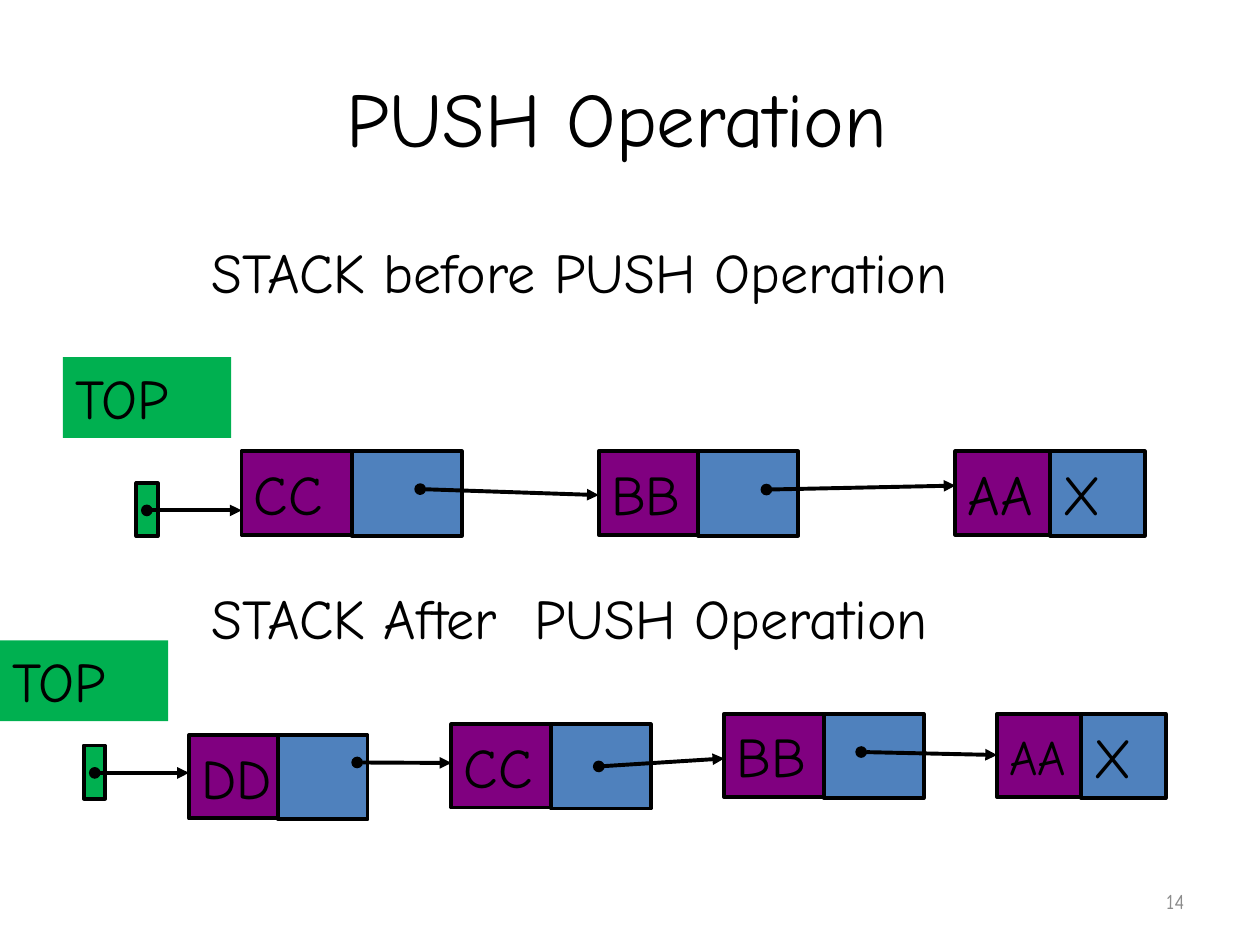
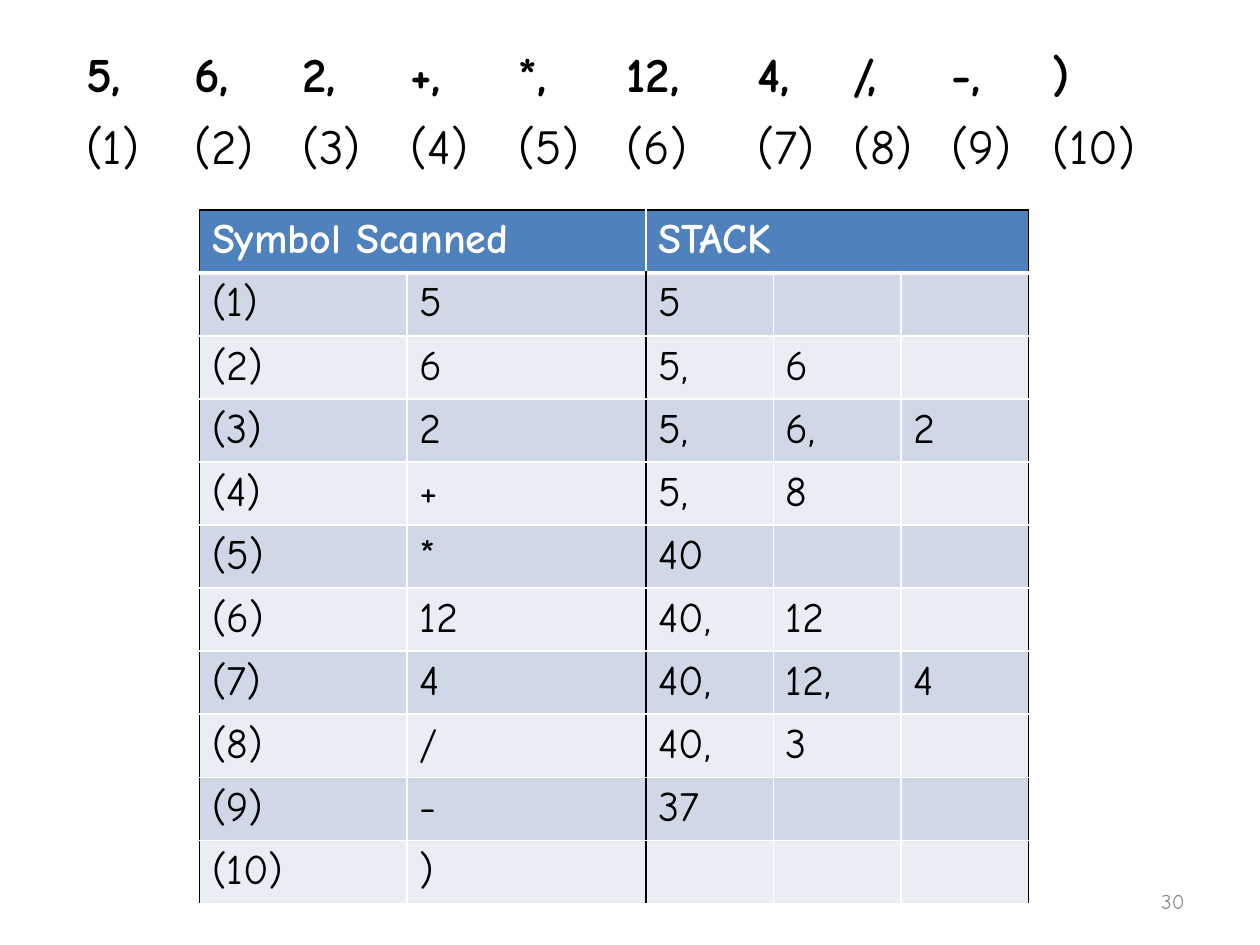
"""Build two slides on stacks: the PUSH operation and a postfix evaluation."""
from dataclasses import dataclass
from typing import Optional

from lxml import etree
from pptx import Presentation
from pptx.dml.color import RGBColor
from pptx.enum.shapes import MSO_CONNECTOR, MSO_SHAPE
from pptx.enum.text import MSO_ANCHOR, PP_ALIGN
from pptx.oxml.ns import qn
from pptx.util import Cm, Pt

RECTANGLE, STRAIGHT = MSO_SHAPE.RECTANGLE, MSO_CONNECTOR.STRAIGHT
TOP, MIDDLE = MSO_ANCHOR.TOP, MSO_ANCHOR.MIDDLE
LEFT, CENTER, RIGHT = PP_ALIGN.LEFT, PP_ALIGN.CENTER, PP_ALIGN.RIGHT

FONT = "Comic Neue"
COLORS = {
    "black": "000000", "white": "FFFFFF", "gray": "8C8C8C",
    "green": "00B050", "purple": "800080", "blue": "4F81BD",
    "band_dark": "D0D8E8", "band_light": "E9EDF4",
}
OUTLINE = 2.25
DATA_HEIGHT, LINK_HEIGHT = 1.68, 1.7
LABEL_WIDTH, LABEL_HEIGHT = 3.39, 1.63
POINTER_WIDTH, POINTER_HEIGHT = 0.43, 1.07
CAPTION_LEFT, CAPTION_WIDTH = 4.02, 18.2
ROW_HEIGHT = 1.04


@dataclass
class Node:
    """A list node: two equal halves and the arrow that arrives at its left."""
    text: str
    left: float
    top: float
    half_width: float
    arrow_left: float
    arrow_start: float
    arrow_end: float
    link_text: str = ""
    size: float = 32


@dataclass
class Stack:
    """A linked stack with its caption, TOP label and TOP pointer."""
    caption: str
    caption_top: float
    label_at: tuple[float, float]
    pointer_at: tuple[float, float]
    nodes: list[Node]


STACKS = [
    Stack("STACK before PUSH Operation ", 4.66, (1.27, 7.2), (2.75, 9.74), [
        Node("CC", 4.87, 9.1, 2.22, 2.96, 10.29, 10.29),
        Node("BB", 12.07, 9.1, 2.01, 8.47, 9.86, 9.98),
        Node("AA", 19.26, 9.1, 1.91, 15.45, 9.87, 9.79, link_text="X"),
    ]),
    Stack("STACK After  PUSH Operation ", 11.64, (0, 12.91), (1.69, 15.03), [
        Node("DD", 3.81, 14.82, 1.8, 1.91, 15.58, 15.58),
        Node("CC", 9.1, 14.6, 2.01, 7.2, 15.37, 15.38),
        Node("BB", 14.6, 14.39, 2.01, 12.07, 15.45, 15.29),
        Node("AA", 20.1, 14.39, 1.7, 17.36, 15.16, 15.22, link_text="X", size=28),
    ]),
]

SYMBOLS = ["5", "6", "2", "+", "*", "12", "4", "/", "-", ")"]
STACK_STATES = [
    ["5"], ["5", "6"], ["5", "6", "2"], ["5", "8"], ["40"],
    ["40", "12"], ["40", "12", "4"], ["40", "3"], ["37"], [],
]
SYMBOL_WIDTHS = [2.18] * 5 + [2.64, 1.93, 1.98, 2.03, 2.34]
TRACE_WIDTHS = [4.18, 4.82] + [2.57] * 3


def rgb(name: str) -> RGBColor:
    """Look up a named colour."""
    return RGBColor.from_string(COLORS[name])


def write(frame, text: str, *, size: float = 32, color: str = "black",
          bold: bool = False, align=LEFT) -> None:
    """Put one formatted line of text in a text frame."""
    para = frame.paragraphs[0]
    para.alignment = align
    span = para.add_run()
    span.text = text
    span.font.name = FONT
    span.font.size = Pt(size)
    span.font.bold = bold
    span.font.color.rgb = rgb(color)


def add_text(page, text: str, left: float, top: float, width: float,
             height: float, anchor=TOP, **style) -> None:
    """Add a wrapping text box."""
    box = page.shapes.add_textbox(Cm(left), Cm(top), Cm(width), Cm(height))
    box.text_frame.word_wrap = True
    box.text_frame.vertical_anchor = anchor
    write(box.text_frame, text, **style)


def add_page_number(page, number: int) -> None:
    """Add the page number in the lower right corner."""
    add_text(page, str(number), 18.2, 17.65, 5.93, 1.02, anchor=MIDDLE,
             size=12, color="gray", align=RIGHT)


def add_box(page, left: float, top: float, width: float, height: float,
            fill: str, text: str = "", size: float = 32, outlined: bool = True):
    """Add a filled rectangle with optional outline and text."""
    box = page.shapes.add_shape(RECTANGLE, Cm(left), Cm(top), Cm(width), Cm(height))
    box.shadow.inherit = False
    box.fill.solid()
    box.fill.fore_color.rgb = rgb(fill)
    if outlined:
        box.line.color.rgb = rgb("black")
        box.line.width = Pt(OUTLINE)
    else:
        box.line.fill.background()
    box.text_frame.word_wrap = not outlined
    box.text_frame.vertical_anchor = MIDDLE if outlined else TOP
    if text:
        write(box.text_frame, text, size=size)
    return box


def add_arrow(page, left: float, start: float, right: float, end: float) -> None:
    """Add a line from a dot to an arrowhead."""
    arrow = page.shapes.add_connector(STRAIGHT, Cm(left), Cm(start), Cm(right), Cm(end))
    arrow.line.color.rgb = rgb("black")
    arrow.line.width = Pt(OUTLINE)
    properties = arrow._element.spPr
    line = properties.find(qn("a:ln"))
    etree.SubElement(line, qn("a:headEnd"), type="oval")
    etree.SubElement(line, qn("a:tailEnd"), type="triangle")
    etree.SubElement(properties, qn("a:effectLst"))


def add_stack(page, stack: Stack) -> None:
    """Draw a stack: caption, TOP pointer, nodes and the arrows between them."""
    add_text(page, stack.caption, CAPTION_LEFT, stack.caption_top,
             CAPTION_WIDTH, LABEL_HEIGHT)
    add_box(page, *stack.label_at, LABEL_WIDTH, LABEL_HEIGHT, "green", "TOP ",
            outlined=False)
    add_box(page, *stack.pointer_at, POINTER_WIDTH, POINTER_HEIGHT, "green")
    for node in stack.nodes:
        add_box(page, node.left + node.half_width, node.top, node.half_width,
                LINK_HEIGHT, "blue", node.link_text)
        add_box(page, node.left, node.top, node.half_width, DATA_HEIGHT,
                "purple", node.text, node.size)
    for node in stack.nodes:
        add_arrow(page, node.arrow_left, node.arrow_start, node.left, node.arrow_end)


def add_grid(page, left: float, top: float, widths: list[float], row_count: int):
    """Add an unbanded table with the given column widths."""
    frame = page.shapes.add_table(row_count, len(widths), Cm(left), Cm(top),
                                  Cm(sum(widths)), Cm(ROW_HEIGHT * row_count))
    table = frame.table
    table.first_row = table.horz_banding = False
    for column, width in zip(table.columns, widths):
        column.width = Cm(width)
    return table


def set_borders(cell, **sides: tuple[str, float]) -> None:
    """Set cell borders; each of L, R, T, B gives a colour name and points."""
    properties = cell._tc.get_or_add_tcPr()
    for index, (side, (color, width)) in enumerate(sides.items()):
        line = etree.Element(qn(f"a:ln{side}"), w=str(Pt(width)))
        fill = etree.SubElement(line, qn("a:solidFill"))
        etree.SubElement(fill, qn("a:srgbClr"), val=COLORS[color])
        properties.insert(index, line)


def with_commas(items: list[str]) -> list[str]:
    """Add a comma to every item but the last."""
    return [f"{item}," for item in items[:-1]] + items[-1:]


def step(index: int) -> str:
    """Name a scanning step by its position."""
    return f"({index + 1})"


def add_symbol_table(page) -> None:
    """Add the plain table of the expression and its numbered symbols."""
    table = add_grid(page, 1.48, 0.85, SYMBOL_WIDTHS, 2)
    for column, symbol in enumerate(with_commas(SYMBOLS)):
        for row, text in enumerate((symbol, step(column))):
            cell = table.cell(row, column)
            cell.fill.background()
            write(cell.text_frame, text, size=28, bold=row == 0)


def add_trace_table(page) -> None:
    """Add the table that shows the stack after each scanned symbol."""
    rows = [["Symbol Scanned ", "", "STACK "]]
    for index, (symbol, state) in enumerate(zip(SYMBOLS, STACK_STATES)):
        rows.append([step(index), symbol] + with_commas(state))
    table = add_grid(page, 4.02, 4.23, TRACE_WIDTHS, len(rows))
    table.first_row = True
    for row, texts in enumerate(rows):
        header = row == 0
        fill = "blue" if header else ("band_dark" if row % 2 else "band_light")
        black_left = (0,) if header else (0, 2)
        black_right = (2, 3, 4) if header else (1, 4)
        for column in range(len(TRACE_WIDTHS)):
            cell = table.cell(row, column)
            cell.fill.solid()
            cell.fill.fore_color.rgb = rgb(fill)
            set_borders(
                cell,
                L=("black" if column in black_left else "white", 1),
                R=("black" if column in black_right else "white", 1),
                T=("black" if header else "white", 1),
                B=("white", 3 if header else 1),
            )
            text: Optional[str] = texts[column] if column < len(texts) else None
            if text:
                write(cell.text_frame, text, size=24, bold=header,
                      color="white" if header else "black")
    table.cell(0, 0).merge(table.cell(0, 1))
    table.cell(0, 2).merge(table.cell(0, 4))


def build() -> None:
    """Build and save the deck."""
    deck = Presentation()
    deck.slide_width, deck.slide_height = Cm(25.4), Cm(19.05)
    blank = deck.slide_layouts[6]

    push_page = deck.slides.add_slide(blank)
    add_text(push_page, "PUSH Operation ", 1.27, 0.76, 22.86, 3.18,
             anchor=MIDDLE, size=44, align=CENTER)
    add_page_number(push_page, 14)
    for stack in STACKS:
        add_stack(push_page, stack)

    trace_page = deck.slides.add_slide(blank)
    add_page_number(trace_page, 30)
    add_symbol_table(trace_page)
    add_trace_table(trace_page)

    deck.save("out.pptx")


build()
